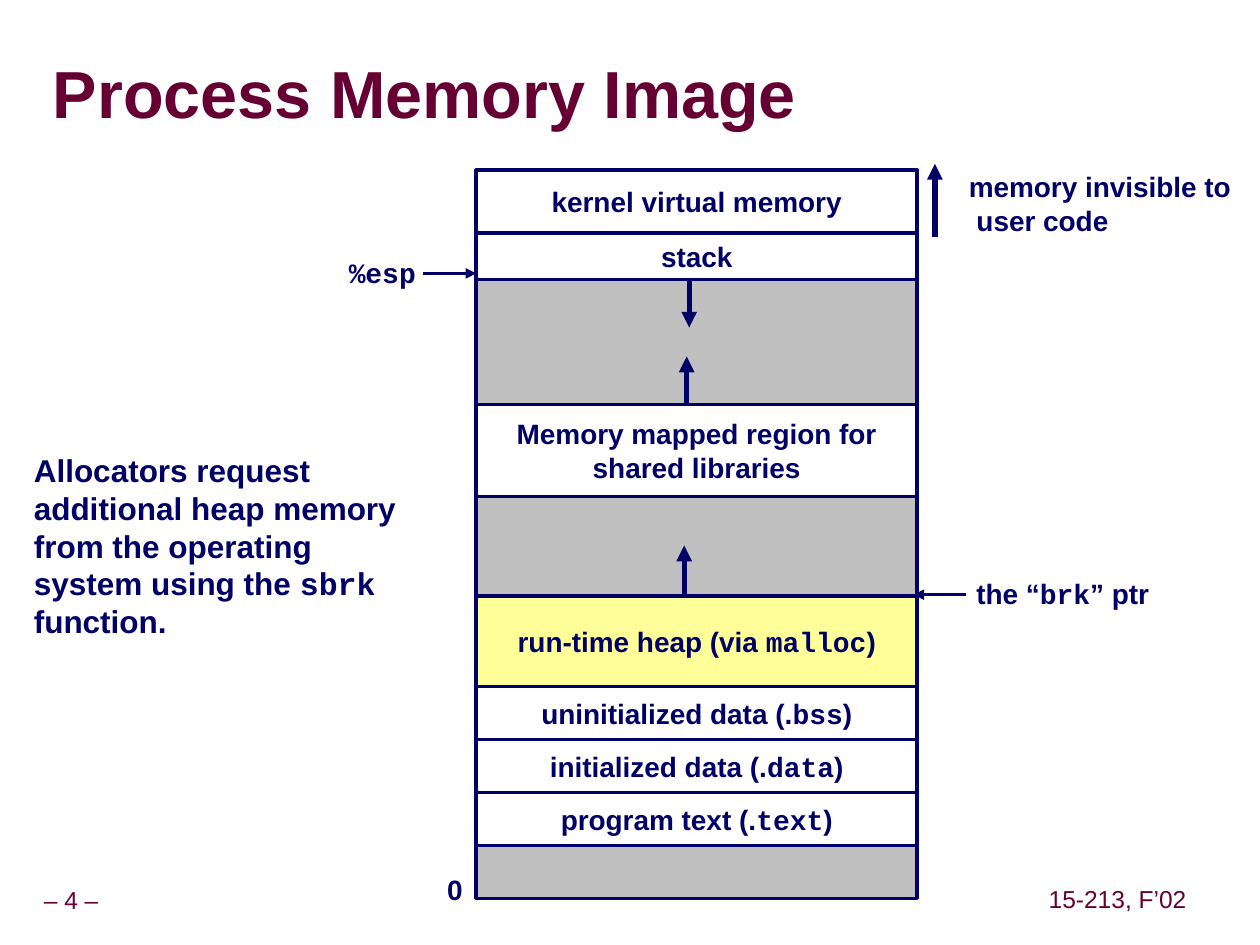
from lxml.etree import SubElement
from pptx import Presentation
from pptx.dml.color import RGBColor
from pptx.enum.shapes import MSO_CONNECTOR as LINE, MSO_SHAPE as SHAPE
from pptx.enum.text import MSO_ANCHOR as ANCHOR, PP_ALIGN as ALIGN
from pptx.oxml.ns import qn
from pptx.util import Inches, Pt

INK = {"navy": "000066", "wine": "660033", "white": "FFFFFF",
       "gray": "C0C0C0", "cream": "FFFF99", "shade": "999999"}


class Deck:
    """Holds the style and the current slide, and draws each kind of element."""

    font, code = "Arial", "Courier New"

    def __init__(self, show):
        self.slide = show.slides.add_slide(show.slide_layouts[5])
        self.shapes = self.slide.shapes

    def tint(self, name):
        return RGBColor.from_string(INK[name])

    def place(self, shape, box):
        shape.left, shape.top, shape.width, shape.height = map(Inches, box)

    def words(self, frame, text, size=16, color="navy", bold=True,
              align=ALIGN.LEFT, space=None, wrap=False, pad=None):
        frame.word_wrap = wrap
        if pad is not None:
            frame.margin_left = frame.margin_right = Inches(pad)
            frame.margin_top = frame.margin_bottom = Inches(pad)
        for i, line in enumerate(text.split("\n")):
            para = frame.add_paragraph() if i else frame.paragraphs[0]
            para.alignment, para.line_spacing = align, space
            font = para.font
            font.name, font.size, font.bold = self.font, Pt(size), bold
            font.color.rgb = self.tint(color)
            for j, part in enumerate(line.split("`")):
                if part:
                    run = para.add_run()
                    run.text = part
                    if j % 2:
                        run.font.name = self.code

    def title(self, text, box):
        shape = self.shapes.title
        self.place(shape, box)
        frame = shape.text_frame
        frame.vertical_anchor = ANCHOR.MIDDLE
        self.words(frame, text, 38, "wine", space=0.87, wrap=True, pad=0)
        props = frame.paragraphs[0].runs[0].font._element
        glow = SubElement(SubElement(props, qn("a:effectLst")), qn("a:outerShdw"),
                          dist="50800", dir="2700000", algn="ctr")
        SubElement(glow, qn("a:srgbClr"), val=INK["shade"])

    def label(self, text, box, **style):
        self.words(self.shapes.add_textbox(*map(Inches, box)).text_frame, text, **style)

    def foot(self, text, box):
        shape = self.shapes.add_textbox(*map(Inches, box))
        shape.text_frame.vertical_anchor = ANCHOR.MIDDLE
        self.words(shape.text_frame, text, 14, "wine", False, ALIGN.CENTER, 0.9, pad=0.05)

    def band(self, text, box, fill):
        shape = self.shapes.add_shape(SHAPE.RECTANGLE, *map(Inches, box))
        shape.shadow.inherit = False
        shape.fill.solid()
        shape.fill.fore_color.rgb = self.tint(fill)
        shape.line.color.rgb = self.tint("navy")
        shape.line.width = Pt(2)
        if text:
            shape.text_frame.vertical_anchor = ANCHOR.MIDDLE
            self.words(shape.text_frame, text, align=ALIGN.CENTER)

    def arrow(self, start, end, width=3):
        link = self.shapes.add_connector(LINE.STRAIGHT, *map(Inches, start + end))
        link.line.color.rgb = self.tint("navy")
        link.line.width = Pt(width)
        props = link._element.spPr
        SubElement(props.find(qn("a:ln")), qn("a:tailEnd"), type="triangle")
        SubElement(props, qn("a:effectLst"))


def main():
    show = Presentation()
    show.slide_width, show.slide_height = Inches(10), Inches(7.5)
    deck = Deck(show)
    deck.title("Process Memory Image", (0.42, 0.46, 7.17, 0.63))
    deck.foot("– 4 –", (-0.09, 7, 1.31, 0.31))
    deck.foot("15-213, F’02", (8.27, 6.99, 1.2, 0.31))

    bands = [
        ("kernel virtual memory", 0.5, "white"),
        ("stack", 0.37, "white"),
        ("", 0.99, "gray"),
        ("Memory mapped region for\nshared libraries", 0.73, "white"),
        ("", 0.79, "gray"),
        ("run-time heap (via `malloc`)", 0.72, "cream"),
        ("uninitialized data (.`bss`)", 0.42, "white"),
        ("initialized data (.`data`)", 0.42, "white"),
        ("program text (.`text`)", 0.42, "white"),
        ("", 0.42, "gray"),
    ]
    top = 1.35
    for text, high, fill in bands:
        deck.band(text, (3.78, top, 3.5, high), fill)
        top += high

    deck.arrow((5.47, 2.22), (5.47, 2.6))
    deck.arrow((5.45, 3.21), (5.45, 2.83))
    deck.arrow((5.43, 4.72), (5.43, 4.33))
    deck.arrow((7.42, 1.88), (7.42, 1.3))
    deck.arrow((3.36, 2.17), (3.78, 2.17), 2)
    deck.arrow((7.67, 4.72), (7.25, 4.72), 2)

    deck.label("0", (3.45, 6.88, 0.32, 0.37))
    deck.label("`%esp`", (2.67, 1.98, 0.73, 0.37))
    deck.label("memory invisible to\n user code", (7.59, 1.3, 2.28, 0.64))
    deck.label("the “`brk`” ptr", (7.65, 4.53, 1.57, 0.37))
    deck.label("Allocators request\nadditional heap memory\n"
               "from the operating system using the `sbrk` function.",
               (0.17, 3.53, 3.25, 1.6), size=18, wrap=True)
    show.save("out.pptx")


if __name__ == "__main__":
    main()
